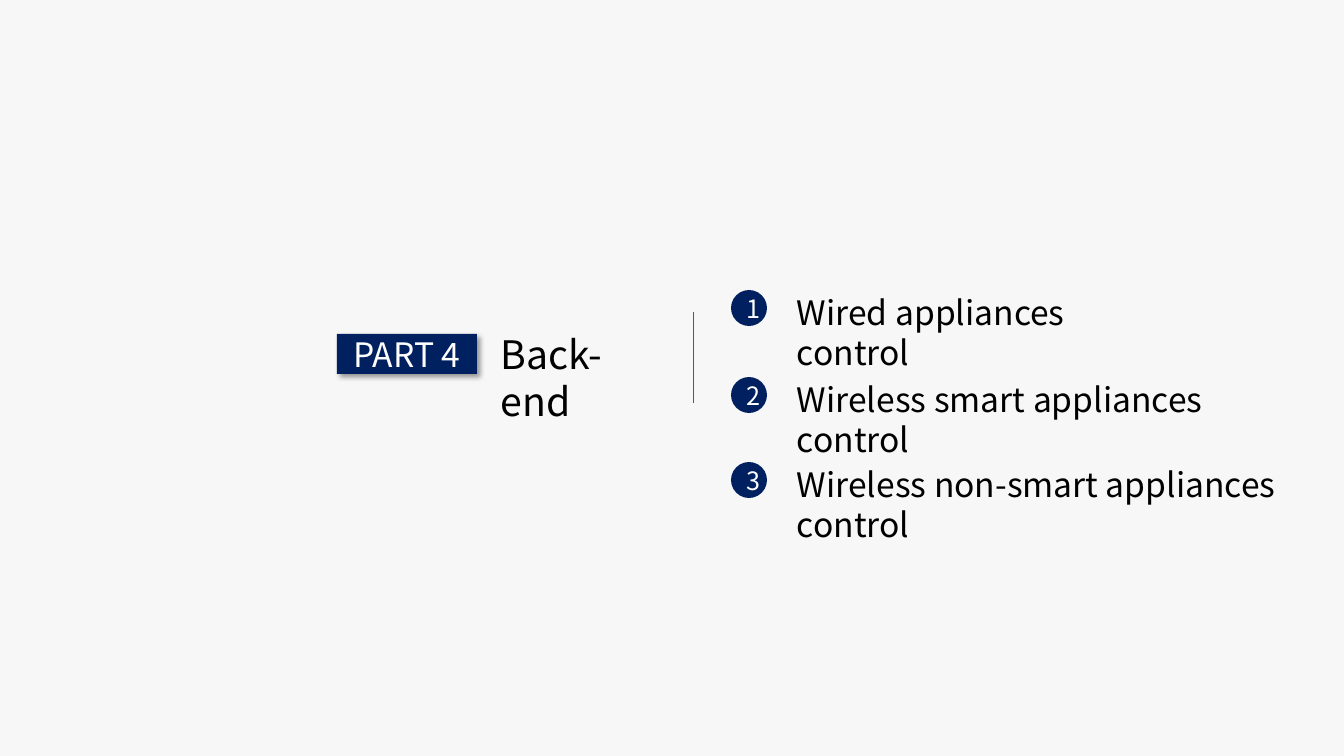
import pptx
import pptx.util
import pptx.dml.color
import pptx.enum.shapes
import pptx.enum.text
import pptx.oxml
import pptx.oxml.ns

PX = 914400 / 100.8
FONT = "Noto Sans CJK KR"
HUES = {"back": "F7F7F7", "navy": "002060", "white": "FFFFFF",
        "black": "000000", "gray": "595959"}
KIND = pptx.enum.shapes.MSO_SHAPE
ITEMS = [
    (287, 404, ["Wired appliances control"]),
    (374, 538, ["Wireless smart appliances control"]),
    (459, 504, ["Wireless non-smart appliances", "control"]),
]


def emu(*sizes):
    return [pptx.util.Emu(round(size * PX)) for size in sizes]


def hue(name):
    return pptx.dml.color.RGBColor.from_string(HUES[name])


def write(frame, lines, size, color, align=None):
    for i, line in enumerate(lines):
        para = frame.paragraphs[0] if i == 0 else frame.add_paragraph()
        para.alignment = align
        run = para.add_run()
        run.text = line
        run.font.name = FONT
        run.font.size = pptx.util.Pt(size)
        run.font.color.rgb = hue(color)


def add_form(slide, kind, box, fill, text="", size=18):
    form = slide.shapes.add_shape(kind, *emu(*box))
    form.shadow.inherit = False
    form.fill.solid()
    form.fill.fore_color.rgb = hue(fill)
    form.line.fill.background()
    if text:
        form.text_frame.vertical_anchor = pptx.enum.text.MSO_ANCHOR.MIDDLE
        write(form.text_frame, [text], size, "white",
              pptx.enum.text.PP_ALIGN.CENTER)
    return form


def add_label(slide, box, lines, size):
    frame = slide.shapes.add_textbox(*emu(*box)).text_frame
    frame.word_wrap = True
    write(frame, lines, size, "black")


def add_shade(form):
    space = pptx.oxml.ns.nsdecls("a")
    blur, dist = pptx.util.Pt(4), pptx.util.Pt(3)
    shade = pptx.oxml.parse_xml(
        f'<a:outerShdw {space} blurRad="{blur}" dist="{dist}" dir="2700000" '
        f'algn="tl" rotWithShape="0"><a:srgbClr val="{HUES["black"]}">'
        '<a:alpha val="40000"/></a:srgbClr></a:outerShdw>')
    form.element.spPr.find(pptx.oxml.ns.qn("a:effectLst")).append(shade)


def add_rule(slide, ends):
    rule = slide.shapes.add_connector(
        pptx.enum.shapes.MSO_CONNECTOR.STRAIGHT, *emu(*ends))
    rule.line.color.rgb = hue("gray")
    rule.line.width = pptx.util.Pt(0.5)
    rule.element.spPr.append(pptx.oxml.parse_xml(
        f'<a:effectLst {pptx.oxml.ns.nsdecls("a")}/>'))


def main():
    deck = pptx.Presentation()
    deck.slide_width, deck.slide_height = emu(1344, 756)
    slide = deck.slides.add_slide(deck.slide_layouts[6])

    # Backdrop
    add_form(slide, KIND.RECTANGLE, (0, 0, 1344, 756), "back")

    # Part badge and title
    badge = add_form(slide, KIND.RECTANGLE, (337, 334, 140, 40),
                     "navy", "PART 4", 24)
    add_shade(badge)
    add_label(slide, (491, 325, 184, 57), ["Back-end"], 28)

    # Divider
    add_rule(slide, (693, 312, 693, 403))

    # Numbered topics
    for num, (top, width, lines) in enumerate(ITEMS, 1):
        add_label(slide, (787, top, width, 10 + 41 * len(lines)), lines, 24)
        add_form(slide, KIND.OVAL, (731, top + 3, 36, 36), "navy", str(num))

    # Save
    deck.save("out.pptx")


if __name__ == "__main__":
    main()
